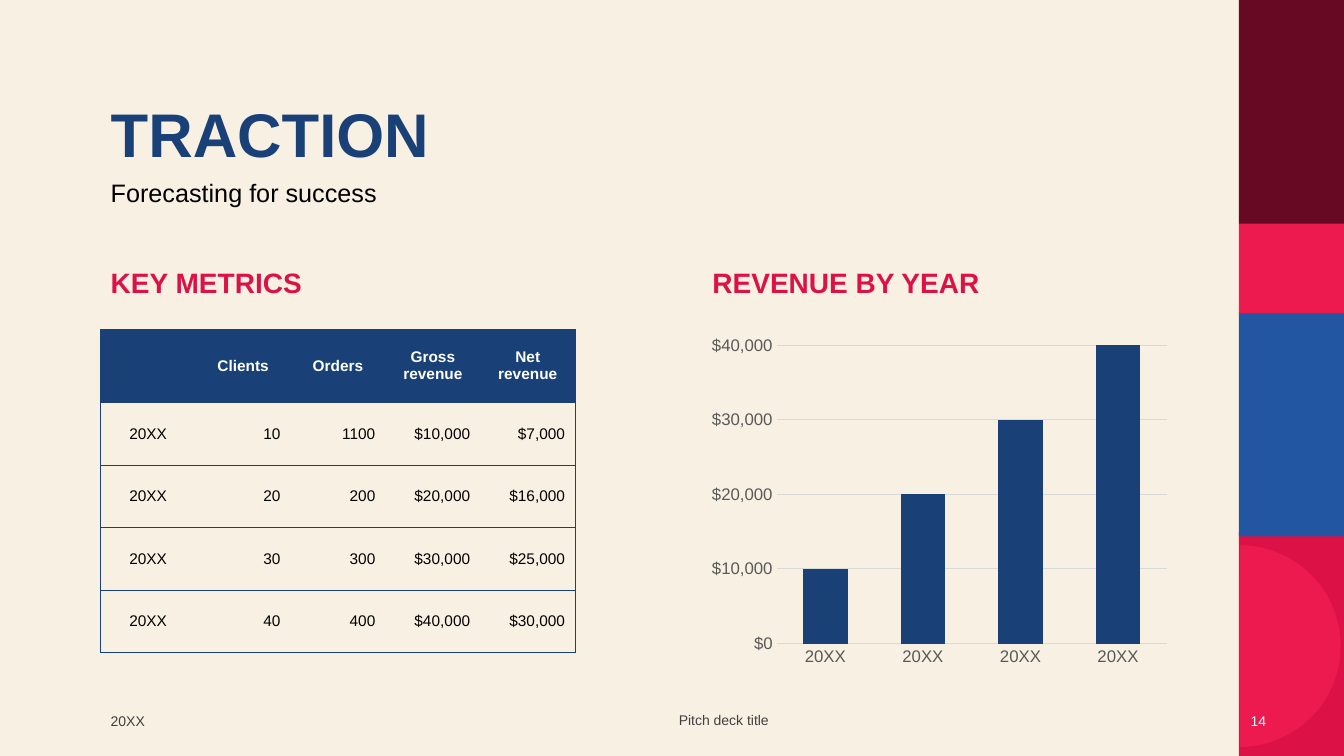
import math
from dataclasses import dataclass
from typing import Any

import lxml.etree
import pptx
import pptx.chart.data
import pptx.dml.color
import pptx.enum.chart
import pptx.enum.shapes
import pptx.enum.text
import pptx.oxml
import pptx.oxml.ns
import pptx.util

Pt = pptx.util.Pt
Align = pptx.enum.text.PP_ALIGN
Anchor = pptx.enum.text.MSO_ANCHOR

FONT = "Arial"
COLORS = {
    "cream": "F8F0E3", "navy": "194077", "blue": "2256A2", "maroon": "670922",
    "crimson": "DC1247", "red": "EC1A4F", "black": "000000", "white": "FFFFFF",
    "footer": "404040", "axis": "595959", "grid": "D9D9D9",
}
LEFT, RIGHT_COLUMN, COLUMN_WIDTH = 72, 501.8, 338.4
BODY_TOP = 235.4


@dataclass
class Band:
    top: float
    height: float
    color: str


@dataclass
class Label:
    text: str
    left: float
    top: float
    width: float
    height: float
    size: float
    color: str
    bold: bool = False
    align: Any = Align.LEFT
    anchor: Any = Anchor.MIDDLE
    line_spacing: float = 0.9
    space_before: float = 10


BANDS = [
    Band(380, 160, "crimson"),
    Band(223.2, 160, "blue"),
    Band(0, 160, "maroon"),
    Band(159.8, 64, "red"),
]
FOOTER = {"size": 10, "color": "footer", "line_spacing": 1.0, "space_before": 0}
HEADING = {"width": COLUMN_WIDTH, "height": 36, "size": 20, "color": "crimson", "bold": True}
LABELS = [
    Label("TRACTION", LEFT, 70.6, 718.6, 104.4, 44, "navy", True,
          anchor=Anchor.TOP, space_before=0),
    Label("Forecasting for success", LEFT, 125.3, 718.6, 47.5, 18, "black", anchor=Anchor.TOP),
    Label("KEY METRICS", LEFT, 185.4, **HEADING),
    Label("REVENUE BY YEAR", RIGHT_COLUMN, 185.4, **HEADING),
    Label("20XX", LEFT, 500.4, 86.4, 28.8, **FOOTER),
    Label("Pitch deck title", 427, 499.7, 180, 28.8, align=Align.CENTER, **FOOTER),
    Label("14", 875.5, 500.4, 36, 28.8, align=Align.RIGHT, **(FOOTER | {"color": "white"})),
]
METRICS = [
    ["", "Clients", "Orders", "Gross revenue", "Net revenue"],
    ["20XX", "10", "1100", "$10,000", "$7,000"],
    ["20XX", "20", "200", "$20,000", "$16,000"],
    ["20XX", "30", "300", "$30,000", "$25,000"],
    ["20XX", "40", "400", "$40,000", "$30,000"],
]
REVENUE = [10000, 20000, 30000, 40000]


def rgb(color: str) -> pptx.dml.color.RGBColor:
    return pptx.dml.color.RGBColor.from_string(COLORS[color])


def apply_format(target: Any, values: dict[str, Any]) -> None:
    for name, value in values.items():
        setattr(target, name, value)


def paint(fill: Any, color: str) -> None:
    fill.solid()
    fill.fore_color.rgb = rgb(color)


def style_font(font: Any, size: float, color: str, bold: bool = False) -> None:
    apply_format(font, {"name": FONT, "size": Pt(size), "bold": bold})
    font.color.rgb = rgb(color)


def finish_shape(shape: Any, color: str) -> None:
    paint(shape.fill, color)
    shape.line.fill.background()
    shape.shadow.inherit = False


def draw_band(page: Any, band: Band) -> None:
    shape = page.shapes.add_shape(pptx.enum.shapes.MSO_SHAPE.RECTANGLE, Pt(885),
                                  Pt(band.top), Pt(80), Pt(band.height))
    finish_shape(shape, band.color)


def draw_half_disc(page: Any, left: float, middle: float, radius: float) -> None:
    steps = 90
    angles = [math.pi * step / steps - math.pi / 2 for step in range(steps + 1)]
    points = [(Pt(left + radius * math.cos(a)), Pt(middle + radius * math.sin(a)))
              for a in angles]
    builder = page.shapes.build_freeform(*points[0])
    builder.add_line_segments(points[1:], close=True)
    finish_shape(builder.convert_to_shape(), "red")


def draw_label(page: Any, label: Label) -> None:
    box = page.shapes.add_textbox(Pt(label.left), Pt(label.top), Pt(label.width), Pt(label.height))
    apply_format(box.text_frame, {"word_wrap": True, "vertical_anchor": label.anchor})
    para = box.text_frame.paragraphs[0]
    apply_format(para, {"alignment": label.align, "line_spacing": label.line_spacing,
                        "space_before": Pt(label.space_before)})
    span = para.add_run()
    span.text = label.text
    style_font(span.font, label.size, label.color, label.bold)


def set_borders(cell: Any, visible: dict[str, bool]) -> None:
    properties = cell._tc.get_or_add_tcPr()
    namespace = pptx.oxml.ns.nsdecls("a")
    for index, (side, shown) in enumerate(visible.items()):
        paint_xml = (f'<a:solidFill><a:srgbClr val="{COLORS["navy"]}"/></a:solidFill>'
                     if shown else "<a:noFill/>")
        line = pptx.oxml.parse_xml(f'<a:{side} {namespace} w="{Pt(0.5)}">{paint_xml}</a:{side}>')
        properties.insert(index, line)


def draw_table(page: Any) -> None:
    rows, columns = len(METRICS), len(METRICS[0])
    heights = [52.1] + [44.7] * (rows - 1)
    table = page.shapes.add_table(rows, columns, Pt(LEFT), Pt(BODY_TOP),
                                  Pt(339), Pt(sum(heights))).table
    apply_format(table, {"first_row": False, "horz_banding": False})
    for column in table.columns:
        column.width = Pt(67.8)
    for row, height in enumerate(heights):
        table.rows[row].height = Pt(height)
        for column, text in enumerate(METRICS[row]):
            cell, header = table.cell(row, column), row == 0
            cell.vertical_anchor = Anchor.MIDDLE
            if header:
                paint(cell.fill, "navy")
            else:
                cell.fill.background()
            set_borders(cell, {"lnL": column == 0, "lnR": column == columns - 1,
                               "lnT": True, "lnB": True})
            para = cell.text_frame.paragraphs[0]
            para.alignment = Align.CENTER if header or column == 0 else Align.RIGHT
            if text:
                span = para.add_run()
                span.text = text
                style_font(span.font, 11, "white" if header else "black", header)


def draw_chart(page: Any) -> None:
    data = pptx.chart.data.CategoryChartData()
    data.categories = ["20XX"] * len(REVENUE)
    data.add_series("Series 1", REVENUE)
    chart = page.shapes.add_chart(pptx.enum.chart.XL_CHART_TYPE.COLUMN_CLUSTERED,
                                  Pt(RIGHT_COLUMN), Pt(BODY_TOP), Pt(COLUMN_WIDTH),
                                  Pt(244.8), data).chart
    apply_format(chart, {"has_legend": False, "has_title": False})
    style_font(chart.font, 10, "black")

    # Columns
    plot = chart.plots[0]
    apply_format(plot, {"gap_width": 118, "overlap": -3, "vary_by_categories": False})
    paint(plot.series[0].format.fill, "navy")

    # Axes
    no_tick = pptx.enum.chart.XL_TICK_MARK.NONE
    for axis in (chart.category_axis, chart.value_axis):
        apply_format(axis, {"major_tick_mark": no_tick, "minor_tick_mark": no_tick})
        style_font(axis.tick_labels.font, 12, "axis")
    values = chart.value_axis
    apply_format(values, {"minimum_scale": 0, "maximum_scale": 40000, "major_unit": 10000,
                          "has_major_gridlines": True})
    apply_format(values.tick_labels, {"number_format": "[$$-409]#,##0",
                                      "number_format_is_linked": False})
    values.format.line.fill.background()
    for line in (chart.category_axis.format.line, values.major_gridlines.format.line):
        line.width = Pt(0.75)
        line.color.rgb = rgb("grid")


def main() -> None:
    deck = pptx.Presentation()
    apply_format(deck, {"slide_width": Pt(960), "slide_height": Pt(540)})
    page = deck.slides.add_slide(deck.slide_layouts[6])
    paint(page.background.fill, "cream")

    # Side decoration
    for band in BANDS:
        draw_band(page, band)
    draw_half_disc(page, 885.6, 461.5, 72)

    # Content
    for label in LABELS:
        draw_label(page, label)
    draw_table(page)
    draw_chart(page)
    deck.save("out.pptx")


if __name__ == "__main__":
    main()
